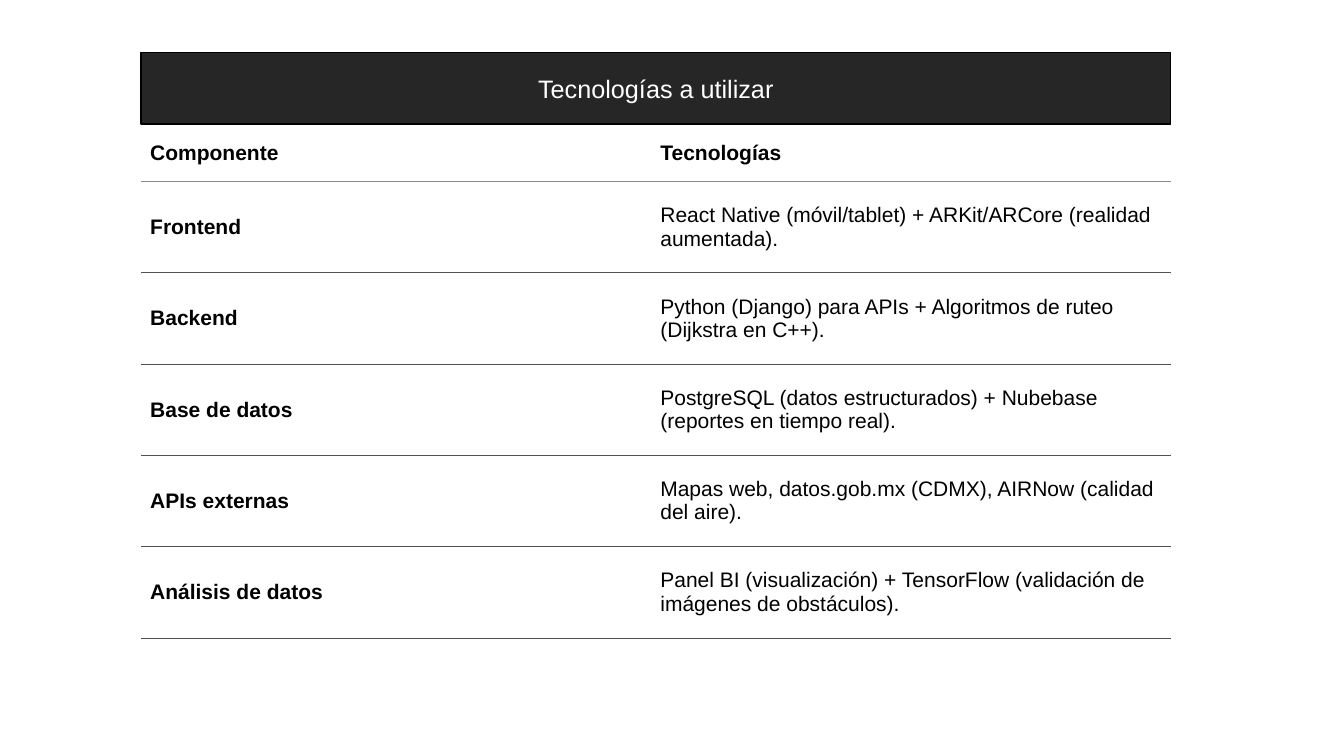
from dataclasses import dataclass

from lxml import etree
from pptx import Presentation
from pptx.dml.color import RGBColor
from pptx.enum.text import MSO_ANCHOR, MSO_AUTO_SIZE, PP_ALIGN
from pptx.oxml.ns import qn
from pptx.util import Inches, Pt

MIDDLE = MSO_ANCHOR.MIDDLE
CENTER = PP_ALIGN.CENTER
NO_FIT = MSO_AUTO_SIZE.NONE
TITLE_ONLY = 5
PLAIN_STYLE = "{2D5ABB26-0587-4C30-8999-92F81FD0307C}"


@dataclass(frozen=True)
class Theme:
    font: str = "Arial"
    title: float = 18
    text: float = 15
    ink: str = "000000"
    paper: str = "FFFFFF"
    band: str = "262626"
    rule: str = "525252"
    soft: str = "8B8B8B"
    rule_width: float = 0.68


THEME = Theme()

ROWS = [
    ("Componente", "Tecnologías"),
    ("Frontend",
     "React Native (móvil/tablet) + ARKit/ARCore (realidad aumentada)."),
    ("Backend",
     "Python (Django) para APIs + Algoritmos de ruteo (Dijkstra en C++)."),
    ("Base de datos",
     "PostgreSQL (datos estructurados) + Nubebase (reportes en tiempo real)."),
    ("APIs externas",
     "Mapas web, datos.gob.mx (CDMX), AIRNow (calidad del aire)."),
    ("Análisis de datos",
     "Panel BI (visualización) + TensorFlow (validación de imágenes de "
     "obstáculos)."),
]


def color(code):
    return RGBColor.from_string(code)


def add_run(para, text, size, ink, bold=False):
    run = para.add_run()
    run.text = text
    font = run.font
    font.name, font.size, font.bold = THEME.font, Pt(size), bold
    font.color.rgb = color(ink)


def add_rule(cell, side, code):
    """Draw one cell border; call it before the cell gets its fill."""
    props = cell._tc.get_or_add_tcPr()
    line = etree.SubElement(props, qn(f"a:{side}"),
                            w=str(int(Pt(THEME.rule_width))))
    fill = etree.SubElement(line, qn("a:solidFill"))
    etree.SubElement(fill, qn("a:srgbClr"), val=code)


def add_title(slide, left, top, width, height):
    title = slide.shapes.title
    title.left, title.top = Inches(left), Inches(top)
    title.width, title.height = Inches(width), Inches(height)
    title.fill.solid()
    title.fill.fore_color.rgb = color(THEME.band)
    title.line.color.rgb = color(THEME.ink)
    title.line.width = Pt(1)
    frame = title.text_frame
    frame.auto_size, frame.word_wrap = NO_FIT, True
    frame.vertical_anchor = MIDDLE
    para = frame.paragraphs[0]
    para.alignment = CENTER
    add_run(para, "Tecnologías a utilizar", THEME.title, THEME.paper)
    # Keep the band's outline above the table's top rule
    title.element.getparent().append(title.element)


def fill_cell(cell, text, bold, above, below):
    cell.vertical_anchor = MIDDLE
    cell.margin_left = cell.margin_right = Inches(0.09)
    cell.margin_top = cell.margin_bottom = Inches(0.09)
    add_rule(cell, "lnT", above)
    add_rule(cell, "lnB", below)
    cell.fill.background()
    add_run(cell.text_frame.paragraphs[0], text, THEME.text, THEME.ink, bold)


def add_stack(slide, left, top, width, height):
    frame = slide.shapes.add_table(len(ROWS), 2, Inches(left), Inches(top),
                                   Inches(width), Inches(height))
    table = frame.table
    table.first_row = table.horz_banding = False
    table._tbl.tblPr.find(qn("a:tableStyleId")).text = PLAIN_STYLE

    # Columns and rows
    first, head = 5.06, 0.57
    table.columns[0].width = Inches(first)
    table.columns[1].width = Inches(width - first)
    body = (height - head) / (len(ROWS) - 1)
    for i, texts in enumerate(ROWS):
        table.rows[i].height = Inches(body if i else head)
        above = THEME.soft if i == 1 else THEME.rule
        below = THEME.rule if i else THEME.soft
        for j, text in enumerate(texts):
            bold = i == 0 or j == 0
            fill_cell(table.cell(i, j), text, bold, above, below)


def main():
    deck = Presentation()
    deck.slide_width, deck.slide_height = Inches(13.33), Inches(7.5)
    slide = deck.slides.add_slide(deck.slide_layouts[TITLE_ONLY])
    slide.background.fill.solid()
    slide.background.fill.fore_color.rgb = color(THEME.paper)

    left, top, width, band = 1.4, 0.52, 10.21, 0.71
    add_stack(slide, left, top + band, width, 5.1)
    add_title(slide, left, top, width, band)
    deck.save("out.pptx")


if __name__ == "__main__":
    main()
